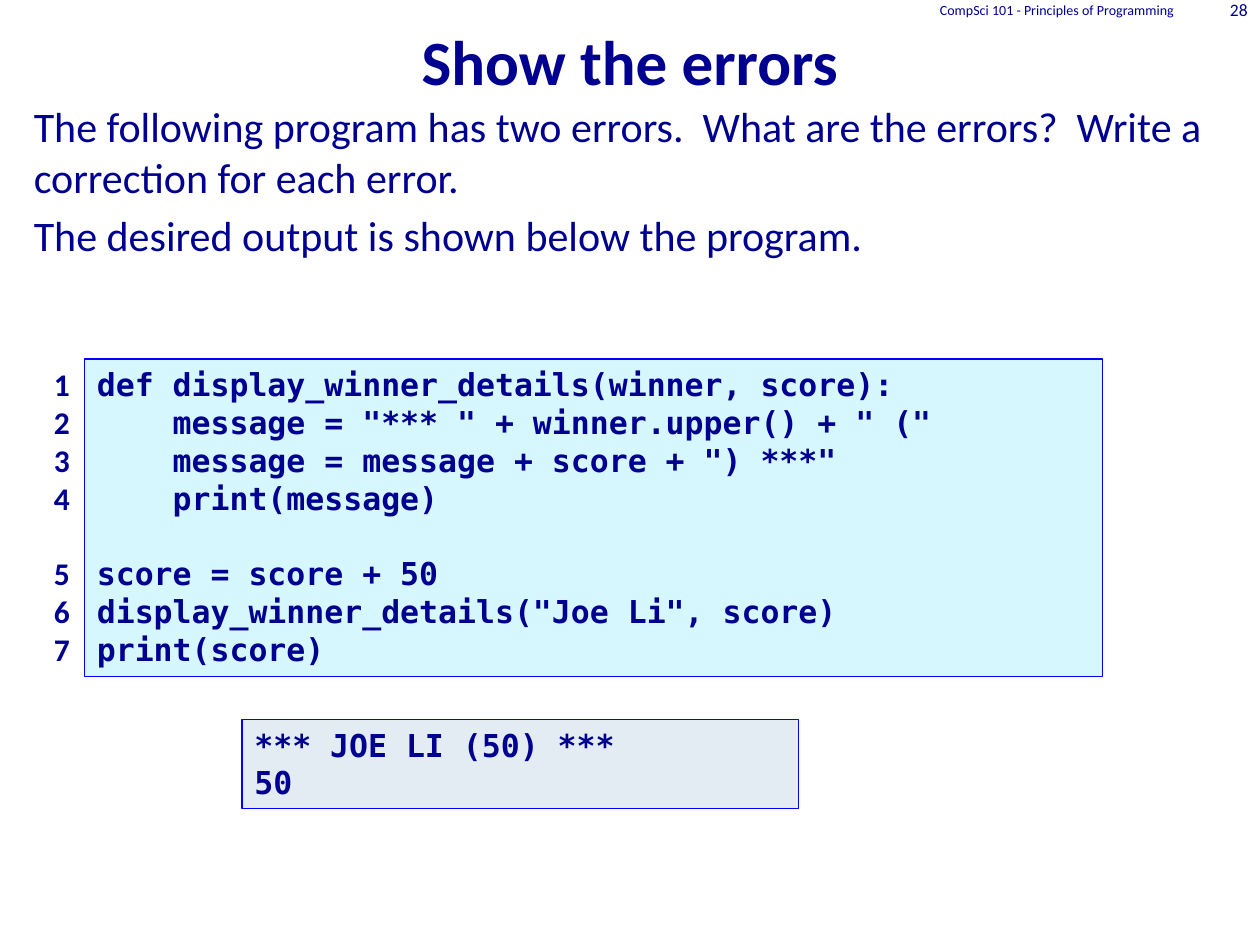
from pptx import Presentation
from pptx.dml.color import RGBColor
from pptx.enum.shapes import MSO_SHAPE
from pptx.enum.text import MSO_ANCHOR, PP_ALIGN
from pptx.util import Inches, Pt

NAVY = "000090"
MONO = "DejaVu Sans Mono"
CODE_PITCH = Pt(21.6)

CODE = '''def display_winner_details(winner, score):
    message = "*** " + winner.upper() + " ("
    message = message + score + ") ***"
    print(message)

score = score + 50
display_winner_details("Joe Li", score)
print(score)'''.split("\n")
OUTPUT = ["*** JOE LI (50) ***", "50"]


def rgb(value):
    return RGBColor.from_string(value)


def write(sp, lines, size, font="Calibri", bold=False, align=PP_ALIGN.LEFT,
          anchor=MSO_ANCHOR.TOP, gap=0, pitch=None):
    tf = sp.text_frame
    tf.word_wrap = True
    tf.vertical_anchor = anchor
    for i, line in enumerate(lines):
        p = tf.add_paragraph() if i else tf.paragraphs[0]
        p.text = line
        p.alignment = align
        p.space_before = Pt(gap if i else 0)
        if pitch:
            p.line_spacing = pitch
        p.font.name = font
        p.font.size = Pt(size)
        p.font.bold = bold
        p.font.color.rgb = rgb(NAVY)


def add_text(shapes, box, lines, size, **style):
    sp = shapes.add_textbox(*map(Inches, box))
    write(sp, lines, size, **style)


def add_code_box(shapes, box, lines, fill):
    sp = shapes.add_shape(MSO_SHAPE.RECTANGLE, *map(Inches, box))
    sp.shadow.inherit = False
    sp.fill.solid()
    sp.fill.fore_color.rgb = rgb(fill)
    sp.line.color.rgb = rgb("0000FF")
    sp.line.width = Pt(0.75)
    write(sp, lines, 18, font=MONO, bold=True, pitch=CODE_PITCH)


def add_numbered_code(shapes):
    group = shapes.add_group_shape().shapes
    add_code_box(group, (0.67, 2.85, 8.08, 2.52), CODE, "D7F7FF")
    count = iter(range(1, len(CODE) + 1))
    numbers = [str(next(count)) if line else "" for line in CODE]
    add_text(group, (0.33, 2.85, 0.75, 2.57), numbers, 18, bold=True,
             pitch=CODE_PITCH)


def main():
    prs = Presentation()
    prs.slide_width, prs.slide_height = Inches(10), Inches(7.5)
    shapes = prs.slides.add_slide(prs.slide_layouts[6]).shapes

    add_text(shapes, (0, 0, 10, 0.83), ["Show the errors"], 36, bold=True,
             align=PP_ALIGN.CENTER, anchor=MSO_ANCHOR.BOTTOM)
    add_text(shapes, (0.17, 0.75, 9.67, 6.42), [
        "The following program has two errors.  What are the errors?  "
        "Write a correction for each error.",
        "The desired output is shown below the program.",
    ], 24, gap=4.8)
    header = {"align": PP_ALIGN.RIGHT, "anchor": MSO_ANCHOR.MIDDLE}
    add_text(shapes, (6.42, -0.01, 3, 0.17),
             ["CompSci 101 - Principles of Programming"], 8, **header)
    add_text(shapes, (9.42, -0.01, 0.58, 0.17), ["28"], 10, **header)
    add_numbered_code(shapes)
    add_code_box(shapes, (1.92, 5.71, 4.42, 0.71), OUTPUT, "E3EBF3")

    prs.save("out.pptx")


if __name__ == "__main__":
    main()
